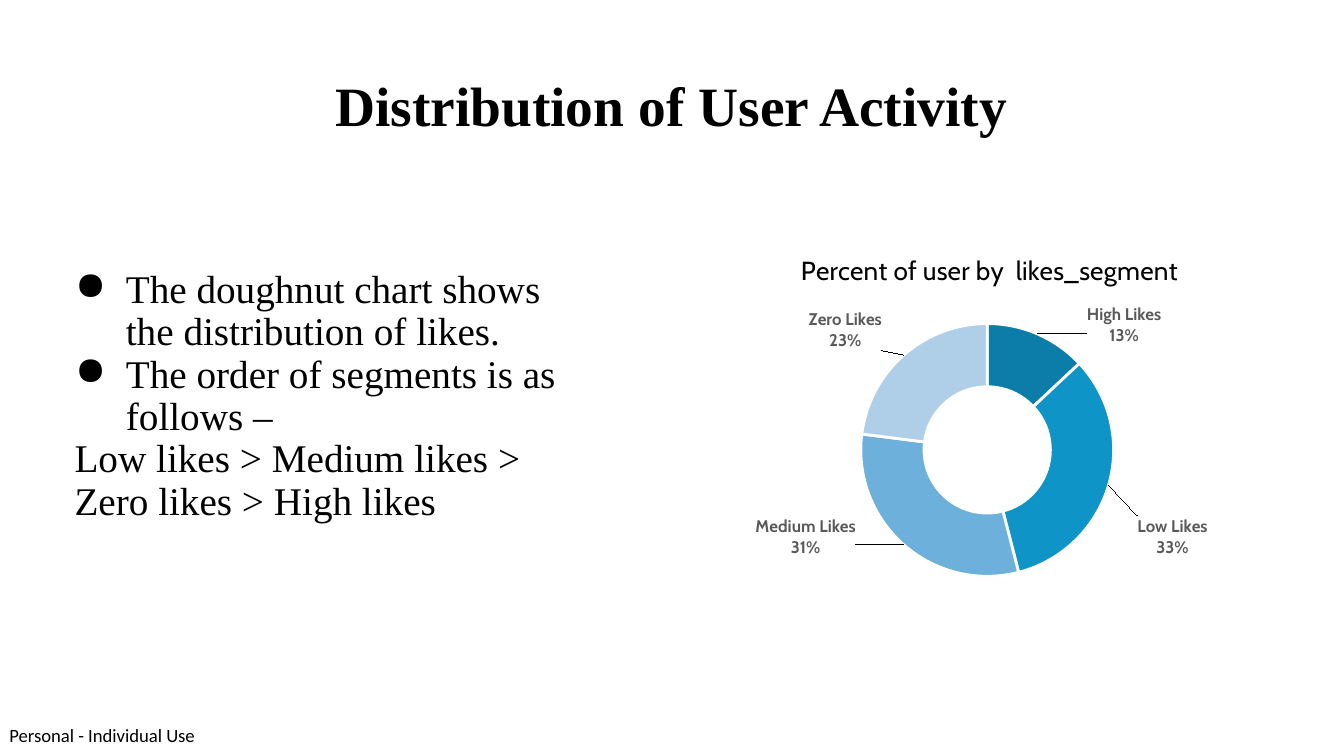
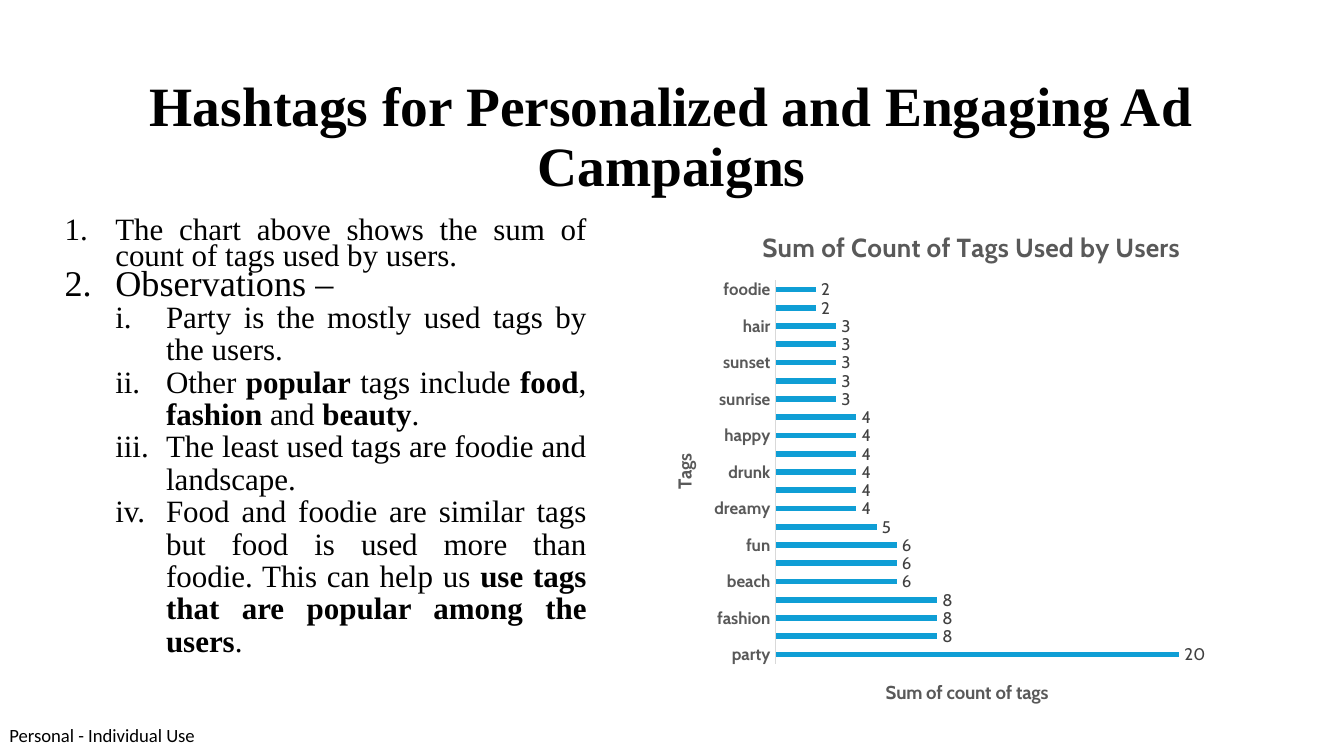
from lxml import etree
from pptx import Presentation
from pptx.chart.data import CategoryChartData as ChartData
from pptx.dml.color import RGBColor as Rgb
from pptx.enum.chart import XL_CHART_TYPE as ChartType
from pptx.enum.chart import XL_LABEL_POSITION as LabelPosition
from pptx.enum.chart import XL_TICK_MARK as TickMark
from pptx.enum.text import PP_ALIGN as Align
from pptx.oxml.ns import qn
from pptx.util import Cm, Pt

COLORS = {
    "text": "000000", "muted": "595959", "value": "404040", "axis": "D9D9D9",
    "gap": "FFFFFF", "bar": "0F9ED5",
}
SERIF, SANS, FOOTER_FONT = "Times New Roman", "Cabin", "Calibri"
BLANK = 6
HANG = 0.96

# Segment: percent, colour, label offset as a share of the chart
SEGMENTS = {
    "High Likes": (13, "0C7DA8", (0.2, -0.1)),
    "Low Likes": (33, "0E94C7", (0.19, 0.16)),
    "Medium Likes": (31, "6DB0DC", (-0.24, 0.04)),
    "Zero Likes": (23, "AFCEE8", (-0.16, -0.13)),
}
TAG_COUNTS = {
    "party": 20, "food": 8, "fashion": 8, "beauty": 8, "beach": 6,
    "concert": 6, "fun": 6, "smile": 5, "dreamy": 4, "photography": 4,
    "drunk": 4, "style": 4, "happy": 4, "delicious": 4, "sunrise": 3,
    "lol": 3, "sunset": 3, "stunning": 3, "hair": 3, "landscape": 2,
    "foodie": 2,
}


# Text
def style_font(font, size, face, color="text", bold=False):
    font.size = Pt(size)
    font.name = face
    font.bold = bold
    font.color.rgb = Rgb.from_string(COLORS[color])


def add_box(page, left, top, width, height, inset=0.25):
    box = page.shapes.add_textbox(Cm(left), Cm(top), Cm(width), Cm(height))
    frame = box.text_frame
    frame.word_wrap = True
    frame.margin_left = frame.margin_right = Cm(inset)
    frame.margin_top = frame.margin_bottom = Cm(inset)
    return frame


def set_bullet(para, bullet, left, hang):
    props = para._p.get_or_add_pPr()
    props.set("marL", str(Cm(left)))
    props.set("indent", str(-Cm(hang)))
    if bullet == "●":
        etree.SubElement(props, qn("a:buChar")).set("char", bullet)
    elif bullet:
        etree.SubElement(props, qn("a:buAutoNum")).set("type", bullet)
    else:
        etree.SubElement(props, qn("a:buNone"))


def add_item(frame, text, size, spacing, bullet=None, left=1.27, hang=HANG,
             level=0, align=Align.LEFT):
    """Add one paragraph; parts between ** are bold."""
    first = frame.paragraphs[0]
    para = frame.add_paragraph() if first.runs else first
    para.level = level
    set_bullet(para, bullet, left, hang)
    para.line_spacing = spacing
    para.alignment = align
    for index, part in enumerate(text.split("**")):
        span = para.add_run()
        span.text = part
        style_font(span.font, size, SERIF, bold=index % 2 == 1)


def add_page(deck, title):
    page = deck.slides.add_slide(deck.slide_layouts[BLANK])
    footer = add_box(page, 0.18, 13.69, 3.58, 0.43, inset=0)
    footer.word_wrap = False
    footer.text = "Personal - Individual Use"
    style_font(footer.paragraphs[0].runs[0].font, 10, FOOTER_FONT)
    frame = add_box(page, 0.86, 1.24, 23.67, 1.6)
    frame.text = title
    para = frame.paragraphs[0]
    para.alignment = Align.CENTER
    para.line_spacing = 0.9
    style_font(para.runs[0].font, 29.7, SERIF, bold=True)
    return page


# Charts
def make_layout(**shares):
    layout = etree.Element(qn("c:layout"))
    manual = etree.SubElement(layout, qn("c:manualLayout"))
    for name, value in shares.items():
        etree.SubElement(manual, qn(f"c:{name}")).set("val", str(value))
    return layout


def place_plot(chart, left, top, width, height):
    area = chart._chartSpace.chart.plotArea
    for old in area.findall(qn("c:layout")):
        area.remove(old)
    area.insert(0, make_layout(layoutTarget="inner", xMode="edge", yMode="edge",
                               x=left, y=top, w=width, h=height))


def set_title(frame, text, size, color, bold):
    frame.text = text
    style_font(frame.paragraphs[0].runs[0].font, size, SANS, color, bold)


def add_chart(page, kind, values, place, title, color, bold):
    data = ChartData()
    data.categories = list(values)
    data.add_series("Series 1", list(values.values()))
    chart = page.shapes.add_chart(kind, *map(Cm, place), data).chart
    style_font(chart.font, 10, SANS)
    chart.has_legend = False
    chart.has_title = True
    set_title(chart.chart_title.text_frame, title, 14, color, bold)
    return chart


def show_share(labels):
    """Show category and percent on the label elements given."""
    for label in labels:
        for name in ("showVal", "showCatName", "showPercent"):
            flag = label.find(qn(f"c:{name}"))
            flag.set("val", "0" if name == "showVal" else "1")
        separator = etree.Element(qn("c:separator"))
        separator.text = "\n"
        label.find(qn("c:showBubbleSize")).addnext(separator)


def add_segment_chart(page):
    percents = {name: segment[0] for name, segment in SEGMENTS.items()}
    chart = add_chart(page, ChartType.DOUGHNUT, percents,
                      (14.02, 4.39, 9.37, 7.16),
                      "Percent of user by  likes_segment", "text", False)
    place_plot(chart, 0.24, 0.24, 0.51, 0.67)
    plot = chart.plots[0]
    plot._element.find(qn("c:holeSize")).set("val", "75")
    series = plot.series[0]
    labels = series.data_labels
    labels.number_format = "0%"
    labels.number_format_is_linked = False
    style_font(labels.font, 9, SANS, "muted", True)
    for index, (_, color, _) in enumerate(SEGMENTS.values()):
        point = series.points[index]
        point.format.fill.solid()
        point.format.fill.fore_color.rgb = Rgb.from_string(color)
        point.format.line.color.rgb = Rgb.from_string(COLORS["gap"])
        point.format.line.width = Pt(1.5)
        style_font(point.data_label.font, 9, SANS, "muted", True)
    point_labels = list(series._element.iter(qn("c:dLbl")))
    for label, (_, _, (right, down)) in zip(point_labels, SEGMENTS.values()):
        layout = make_layout(x=right, y=down)
        label.find(qn("c:idx")).addnext(layout)
        number = etree.Element(qn("c:numFmt"), formatCode="0%", sourceLinked="0")
        layout.addnext(number)
    show_share([*point_labels, series._element.find(qn("c:dLbls"))])


def add_tag_chart(page):
    chart = add_chart(page, ChartType.BAR_CLUSTERED, TAG_COUNTS,
                      (12.19, 3.91, 12.34, 9.93),
                      "Sum of Count of Tags Used by Users", "muted", True)
    place_plot(chart, 0.2, 0.14, 0.68, 0.73)
    plot = chart.plots[0]
    plot.gap_width = 219
    plot.vary_by_categories = False
    series = plot.series[0]
    series.format.fill.solid()
    series.format.fill.fore_color.rgb = Rgb.from_string(COLORS["bar"])
    labels = series.data_labels
    labels.show_value = True
    labels.position = LabelPosition.OUTSIDE_END
    style_font(labels.font, 9, SANS, "value")
    # Axes
    tags, counts = chart.category_axis, chart.value_axis
    tags.major_tick_mark = tags.minor_tick_mark = TickMark.NONE
    style_font(tags.tick_labels.font, 9, SANS, "muted", True)
    tags.format.line.color.rgb = Rgb.from_string(COLORS["axis"])
    tags.format.line.width = Pt(0.75)
    counts.minimum_scale, counts.maximum_scale = 0, 22
    counts.has_major_gridlines = False
    counts.visible = False
    for axis, text in ((tags, "Tags"), (counts, "Sum of count of tags")):
        set_title(axis.axis_title.text_frame, text, 10, "muted", True)


# Slides
def build_activity(deck):
    page = add_page(deck, "Distribution of User Activity")
    frame = add_box(page, 0.86, 4.85, 10.52, 6.43)
    for text in ("The doughnut chart shows the distribution of likes.",
                 "The order of segments is as follows –"):
        add_item(frame, text, 21, 0.9, "●")
    add_item(frame, "Low likes > Medium likes > Zero likes > High likes",
             21, 0.9, left=0.3, hang=0)
    add_segment_chart(page)


def build_hashtags(deck):
    page = add_page(deck, "Hashtags for Personalized and Engaging Ad Campaigns")
    frame = add_box(page, 0.66, 3.91, 10.67, 9.93)
    for text, size in (
        ("The chart above shows the sum of count of tags used by users.", 16.6),
        ("Observations –", 19.4),
    ):
        add_item(frame, text, size, 0.7, "arabicPeriod", align=Align.JUSTIFY)
    for text in (
        "Party is the mostly used tags by the users.",
        "Other **popular** tags include **food**, **fashion** and **beauty**.",
        "The least used tags are foodie and landscape.",
        "Food and foodie are similar tags but food is used more than foodie. "
        "This can help us **use tags that are popular among the users**.",
    ):
        add_item(frame, text, 16.6, 0.87, "romanLcPeriod", left=2.23,
                 level=1, align=Align.JUSTIFY)
    add_tag_chart(page)


def main():
    deck = Presentation()
    deck.slide_width, deck.slide_height = Cm(25.4), Cm(14.29)
    build_activity(deck)
    build_hashtags(deck)
    deck.save("out.pptx")


if __name__ == "__main__":
    main()
